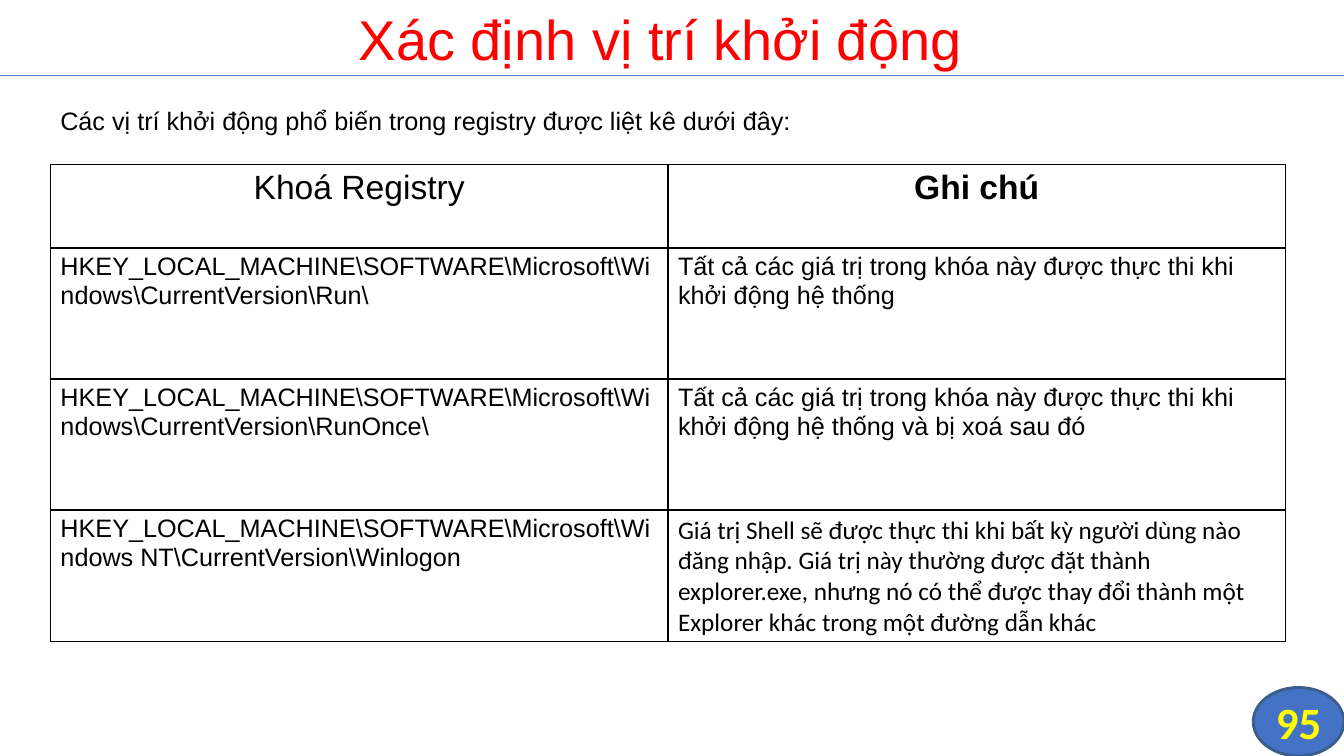
from dataclasses import dataclass

import pptx
import pptx.dml.color
import pptx.enum.shapes
import pptx.enum.text
import pptx.oxml
import pptx.oxml.ns
import pptx.util
from lxml import etree

Inches = pptx.util.Inches
Pt = pptx.util.Pt
ALIGN = pptx.enum.text.PP_ALIGN
ANCHOR = pptx.enum.text.MSO_ANCHOR


@dataclass(frozen=True)
class Theme:
    heading: str = "FF0000"
    ink: str = "000000"
    paper: str = "FFFFFF"
    rule: str = "4A7DBA"
    badge: str = "4472C4"
    badge_edge: str = "395E89"
    number: str = "FFFF00"
    sans: str = "Arial"
    humanist: str = "Calibri"
    heading_size: int = 40
    number_size: int = 32
    header_size: int = 24
    body_size: int = 18


THEME = Theme()
HEADERS = ("Khoá Registry", "Ghi chú")
STARTUP_KEYS = (
    (r"HKEY_LOCAL_MACHINE\SOFTWARE\Microsoft\Windows\CurrentVersion\Run" + "\\",
     "Tất cả các giá trị trong khóa này được thực thi khi khởi động hệ thống"),
    (r"HKEY_LOCAL_MACHINE\SOFTWARE\Microsoft\Windows\CurrentVersion\RunOnce" + "\\",
     "Tất cả các giá trị trong khóa này được thực thi khi khởi động hệ thống "
     "và bị xoá sau đó"),
    (r"HKEY_LOCAL_MACHINE\SOFTWARE\Microsoft\Windows NT\CurrentVersion\Winlogon",
     "Giá trị Shell sẽ được thực thi khi bất kỳ người dùng nào đăng nhập. "
     "Giá trị này thường được đặt thành explorer.exe, nhưng nó có thể được thay "
     "đổi thành một Explorer khác trong một đường dẫn khác"),
)


def rgb(value):
    return pptx.dml.color.RGBColor.from_string(value)


def write(frame, text, size, color=THEME.ink, font=THEME.sans, bold=False,
          align=ALIGN.LEFT):
    frame.text = text
    para = frame.paragraphs[0]
    para.alignment = align
    span = para.runs[0]
    span.font.name = font
    span.font.size = Pt(size)
    span.font.bold = bold
    span.font.color.rgb = rgb(color)


def add_text(page, left, top, width, height, text, size, color=THEME.ink):
    box = page.shapes.add_textbox(Inches(left), Inches(top), Inches(width), Inches(height))
    box.text_frame.word_wrap = True
    write(box.text_frame, text, size, color)


def add_header_rule(page, top, width):
    rule = page.shapes.add_connector(
        pptx.enum.shapes.MSO_CONNECTOR.STRAIGHT, 0, Inches(top), Inches(width), Inches(top))
    rule.line.color.rgb = rgb(THEME.rule)
    rule.line.width = Pt(0.75)
    etree.SubElement(rule._element.spPr, pptx.oxml.ns.qn("a:effectLst"))


def add_number_badge(page, left, top, width, height, number):
    badge = page.shapes.add_shape(
        pptx.enum.shapes.MSO_SHAPE.FLOWCHART_CONNECTOR,
        Inches(left), Inches(top), Inches(width), Inches(height))
    badge.shadow.inherit = False
    badge.fill.solid()
    badge.fill.fore_color.rgb = rgb(THEME.badge)
    badge.line.color.rgb = rgb(THEME.badge_edge)
    badge.line.width = Pt(2)
    label = page.shapes.add_textbox(
        Inches(left), Inches(top), Inches(width), Inches(height))
    frame = label.text_frame
    frame.word_wrap = True
    frame.margin_left = frame.margin_right = frame.margin_top = frame.margin_bottom = 0
    frame.vertical_anchor = ANCHOR.MIDDLE
    write(frame, number, THEME.number_size, THEME.number, THEME.humanist, True, ALIGN.CENTER)


def outline_cell(cell):
    """Draw a thin border on all four sides, ahead of the cell's fill."""
    properties = cell._tc.get_or_add_tcPr()
    for index, side in enumerate(("lnL", "lnR", "lnT", "lnB")):
        properties.insert(index, pptx.oxml.parse_xml(
            f'<a:{side} {pptx.oxml.ns.nsdecls("a")} w="{Pt(1)}">'
            f'<a:solidFill><a:srgbClr val="{THEME.ink}"/></a:solidFill></a:{side}>'))


def add_key_table(page, left, top, width, header_height, row_height):
    rows = (HEADERS, *STARTUP_KEYS)
    height = header_height + row_height * len(STARTUP_KEYS)
    table = page.shapes.add_table(
        len(rows), len(HEADERS), Inches(left), Inches(top),
        Inches(width), Inches(height)).table
    table.first_row = table.horz_banding = False
    for column in table.columns:
        column.width = Inches(width / len(HEADERS))
    for row_index, texts in enumerate(rows):
        is_header = row_index == 0
        table.rows[row_index].height = Inches(header_height if is_header else row_height)
        for column_index, text in enumerate(texts):
            cell = table.cell(row_index, column_index)
            cell.fill.solid()
            cell.fill.fore_color.rgb = rgb(THEME.paper)
            outline_cell(cell)
            is_last = row_index == len(rows) - 1 and column_index == 1
            write(cell.text_frame, text,
                  THEME.header_size if is_header else THEME.body_size,
                  font=THEME.humanist if is_last else THEME.sans,
                  bold=is_header and column_index == 1,
                  align=ALIGN.CENTER if is_header else ALIGN.LEFT)


def main():
    deck = pptx.Presentation()
    deck.slide_width = Inches(13.33)
    deck.slide_height = Inches(7.5)
    page = deck.slides.add_slide(deck.slide_layouts[6])
    add_number_badge(page, 12.43, 6.82, 0.9, 0.68, "95")
    add_header_rule(page, 0.75, 13.33)
    add_text(page, 3.46, 0, 6.42, 0.77, "Xác định vị trí khởi động",
             THEME.heading_size, THEME.heading)
    add_text(page, 0.5, 1, 7.83, 0.4,
             "Các vị trí khởi động phổ biến trong registry được liệt kê dưới đây:",
             THEME.body_size)
    add_key_table(page, 0.5, 1.63, 12.25, 0.83, 1.3)
    deck.save("out.pptx")


if __name__ == "__main__":
    main()
